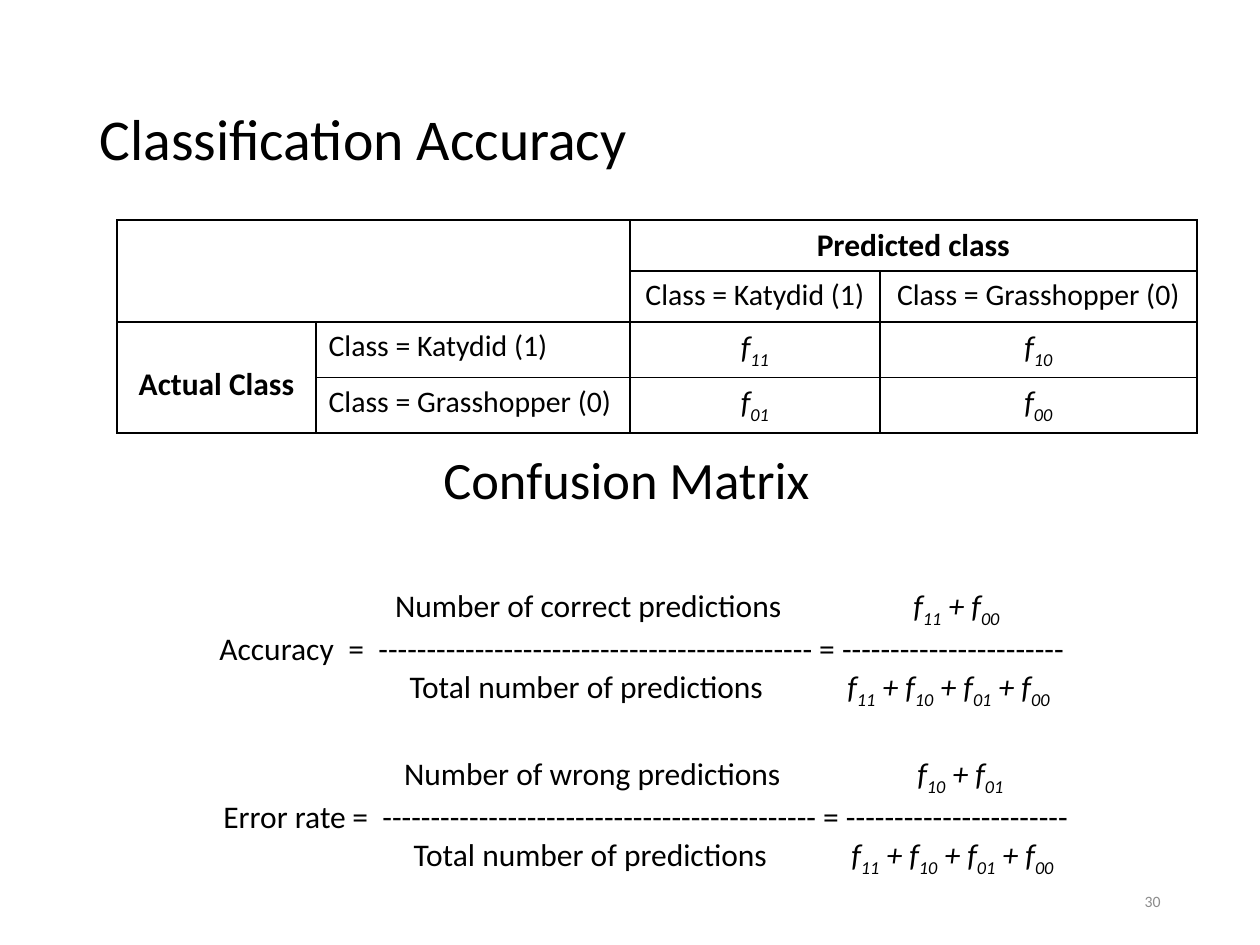
import pptx
import pptx.util
import pptx.dml.color
import pptx.enum.text
import pptx.oxml
import pptx.oxml.ns
import lxml.etree

PX = 914400 / 126
FONT = "Calibri"
BLACK = "000000"
ALIGN = pptx.enum.text.PP_ALIGN
ANCHOR = pptx.enum.text.MSO_ANCHOR


def px(length):
    return pptx.util.Emu(round(length * PX))


def colour(value):
    return pptx.dml.color.RGBColor.from_string(value)


def add_span(para, text, size, shade=BLACK, bold=False, italic=False, lowered=False):
    span = para.add_run()
    span.text = text
    span.font.name = FONT
    span.font.size = pptx.util.Pt(size)
    span.font.bold = bold
    span.font.italic = italic
    span.font.color.rgb = colour(shade)
    if lowered:
        span.font._element.set("baseline", "-25000")


def add_counts(para, indices):
    for position, index in enumerate(indices):
        add_span(para, " + f" if position else "f", 18, italic=True)
        add_span(para, index, 18, italic=True, lowered=True)


def add_child(parent, tag, **attributes):
    child = lxml.etree.SubElement(parent, pptx.oxml.ns.qn(tag))
    for name, value in attributes.items():
        child.set(name, str(value))
    return child


def set_tabs(para, stops):
    tabs = add_child(para._p.get_or_add_pPr(), "a:tabLst")
    for place, align in stops:
        add_child(tabs, "a:tab", pos=px(place), algn=align)


def add_box(page, left, top, width, height):
    box = page.shapes.add_textbox(px(left), px(top), px(width), px(height))
    box.text_frame.word_wrap = True
    return box.text_frame


def add_line(page, area, text, size, shade=BLACK, align=ALIGN.LEFT, anchor=ANCHOR.TOP, spacing=1.0):
    frame = add_box(page, *area)
    frame.vertical_anchor = anchor
    para = frame.paragraphs[0]
    para.alignment = align
    para.line_spacing = spacing
    add_span(para, text, size, shade)


def style_cell(cell):
    cell.fill.background()
    properties = cell._tc.get_or_add_tcPr()
    for position, side in enumerate(("a:lnL", "a:lnR", "a:lnT", "a:lnB")):
        border = add_child(properties, side, w=pptx.util.Pt(1))
        add_child(add_child(border, "a:solidFill"), "a:srgbClr", val=BLACK)
        properties.insert(position, border)


def add_matrix(page, left, top):
    widths = (199, 314, 250, 317)
    heights = (51, 51, 55, 55)
    frame = page.shapes.add_table(
        4, 4, px(left), px(top), px(sum(widths)), px(sum(heights)))
    table = frame.table
    table.first_row = False
    table.horz_banding = False
    for column, width in zip(table.columns, widths):
        column.width = px(width)
    for row, height in zip(table.rows, heights):
        row.height = px(height)
    for cell in table.iter_cells():
        style_cell(cell)
    for first, last in (((0, 0), (1, 1)), ((0, 2), (0, 3)), ((2, 0), (3, 0))):
        table.cell(*first).merge(table.cell(*last))

    def cell_para(row, column, align=ALIGN.CENTER):
        para = table.cell(row, column).text_frame.paragraphs[0]
        para.alignment = align
        return para

    add_span(cell_para(0, 2), "Predicted class", 18, bold=True)
    add_span(cell_para(2, 0), "Actual Class", 18, bold=True)
    table.cell(2, 0).margin_top = px(44)
    classes = (("Class = Katydid (1)", "1"), ("Class = Grasshopper (0)", "0"))
    for offset, (name, actual) in enumerate(classes):
        add_span(cell_para(1, 2 + offset), name, 17)
        add_span(cell_para(2 + offset, 1, ALIGN.LEFT), name, 17)
        for step, (_, predicted) in enumerate(classes):
            add_counts(cell_para(2 + offset, 2 + step), [actual + predicted])


def add_formula(page, left, top, label, numerator, counted):
    frame = add_box(page, left, top, 886, 165)
    upper = frame.paragraphs[0]
    middle = frame.add_paragraph()
    lower = frame.add_paragraph()
    rows = (
        (upper, numerator, counted, (369, 737)),
        (lower, "Total number of predictions", ("11", "10", "01", "00"), (367, 729)),
    )
    for para, words, indices, centres in rows:
        set_tabs(para, [(centre, "ctr") for centre in centres])
        add_span(para, f"\t{words}\t", 18)
        add_counts(para, indices)
    set_tabs(middle, [(129, "l"), (159, "l")])
    add_span(middle, f"{label}\t=\t{'-' * 45} = {'-' * 23}", 18)


def main():
    deck = pptx.Presentation()
    deck.slide_width = px(1260)
    deck.slide_height = px(945)
    page = deck.slides.add_slide(deck.slide_layouts[6])
    add_line(page, (87, 50, 1086, 183), "Classification Accuracy", 33,
             anchor=ANCHOR.MIDDLE, spacing=0.9)
    add_matrix(page, 117, 220)
    add_line(page, (431, 441, 514, 77), "Confusion Matrix", 30)
    add_formula(page, 207, 580, "Accuracy", "Number of correct predictions", ("11", "00"))
    add_formula(page, 211, 748, "Error rate", "Number of wrong predictions", ("10", "01"))
    add_line(page, (889, 876, 284, 50), "30", 9, "8C8C8C", ALIGN.RIGHT, ANCHOR.MIDDLE)
    deck.save("out.pptx")


if __name__ == "__main__":
    main()
